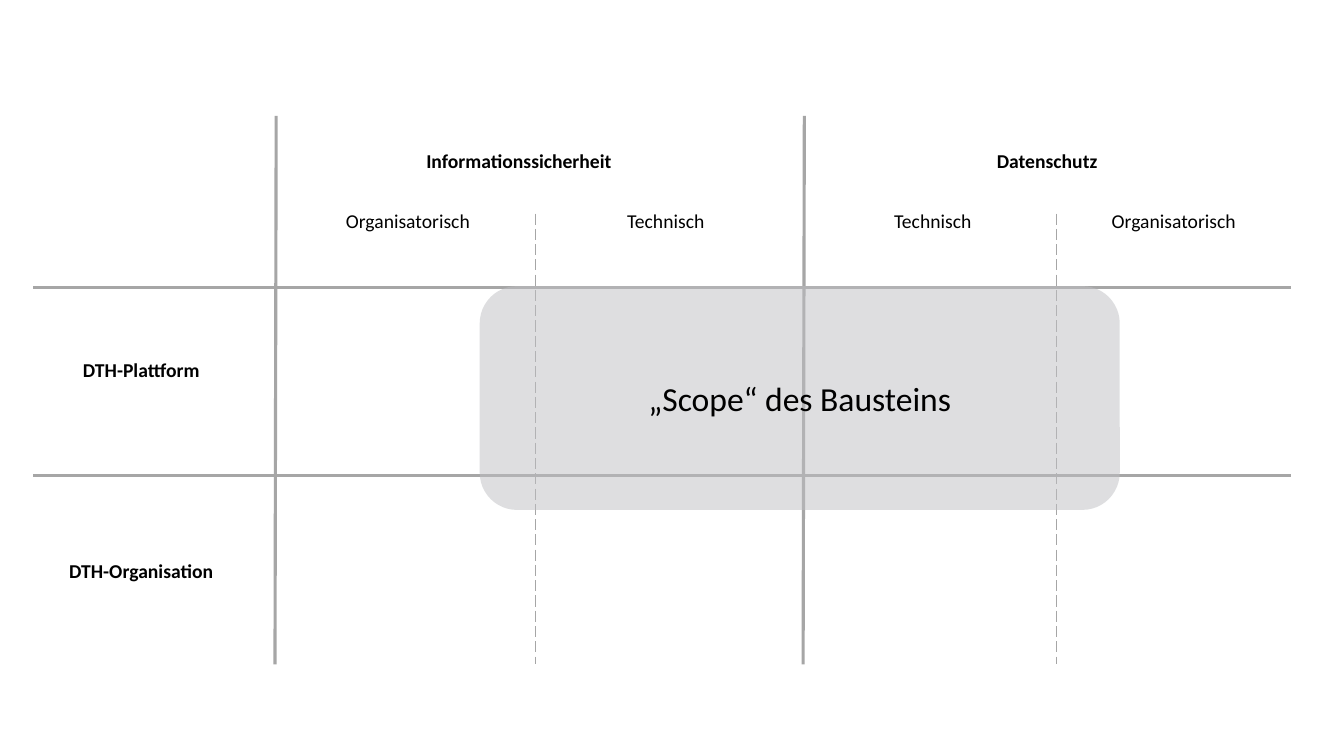
from dataclasses import dataclass

from lxml import etree
from pptx import Presentation
from pptx import util as u
from pptx.dml.color import RGBColor
from pptx.enum import dml, shapes, text
from pptx.oxml.ns import qn


@dataclass(frozen=True)
class Theme:
    font: str = "Calibri"
    ink: RGBColor = RGBColor(0, 0, 0)
    rule: RGBColor = RGBColor(0xA6, 0xA6, 0xA6)
    scope: RGBColor = RGBColor(0xBE, 0xBF, 0xC2)
    scope_alpha: int = 50
    label_size: int = 14
    scope_size: int = 24
    solid_width: float = 2.25
    dashed_width: float = 1


@dataclass(frozen=True)
class Box:
    left: float
    top: float
    width: float
    height: float

    def inside(self, left, top, width, height):
        return Box(self.left + left, self.top + top, width, height)

    def lengths(self):
        return [u.Cm(value) for value in (self.left, self.top, self.width, self.height)]


THEME = Theme()
MATRIX = Box(0.84, 2.92, 31.7, 13.82)
LABEL_HEIGHT = 0.86
MAIN_COLUMNS = (6.12, 19.43)
SUB_COLUMNS = (12.65, 25.78)
ROWS = (4.32, 9.07)
SUB_TOP = 2.46
SLANT = 0.03


def apply_format(target, values):
    for name, value in values.items():
        setattr(target, name, value)


def write(shape, wording, size, bold=False, wrap=True):
    apply_format(shape.text_frame, {
        "word_wrap": wrap,
        "vertical_anchor": text.MSO_ANCHOR.MIDDLE,
    })
    paragraph = shape.text_frame.paragraphs[0]
    paragraph.alignment = text.PP_ALIGN.CENTER
    run = paragraph.add_run()
    run.text = wording
    apply_format(run.font, {"name": THEME.font, "size": u.Pt(size), "bold": bold})
    run.font.color.rgb = THEME.ink


def add_label(slide, box, wording, center, middle, width, bold=False, wrap=False):
    place = box.inside(center - width / 2, middle - LABEL_HEIGHT / 2, width, LABEL_HEIGHT)
    shape = slide.shapes.add_textbox(*place.lengths())
    write(shape, wording, THEME.label_size, bold, wrap)
    shape.text_frame.auto_size = text.MSO_AUTO_SIZE.SHAPE_TO_FIT_TEXT


def add_rule(slide, box, start, end, dashed=False):
    ends = [u.Cm(value) for x, y in (start, end) for value in (box.left + x, box.top + y)]
    connector = slide.shapes.add_connector(shapes.MSO_CONNECTOR.STRAIGHT, *ends)
    connector.line.color.rgb = THEME.rule
    connector.line.width = u.Pt(THEME.dashed_width if dashed else THEME.solid_width)
    if dashed:
        connector.line.dash_style = dml.MSO_LINE.LONG_DASH
    etree.SubElement(connector._element.spPr, qn("a:effectLst"))


def add_column_headings(slide, box):
    for wording, center, width in (
        ("Informationssicherheit", 12.24, 6.45),
        ("Datenschutz", 25.55, 3.71),
    ):
        add_label(slide, box, wording, center, 1.14, width, bold=True)
    for wording, center, width in (
        ("Organisatorisch", 9.44, 4.14),
        ("Technisch", 15.94, 2.72),
        ("Technisch", 22.67, 2.72),
        ("Organisatorisch", 28.74, 4.14),
    ):
        add_label(slide, box, wording, center, 2.64, width)


def add_row_headings(slide, box):
    for wording, middle in (("DTH-Plattform", 6.4), ("DTH-Organisation", 11.46)):
        add_label(slide, box, wording, 2.72, middle, 5.2, bold=True, wrap=True)


def add_grid(slide, box):
    for y in ROWS:
        add_rule(slide, box, (0, y), (box.width, y))
    for x in MAIN_COLUMNS:
        add_rule(slide, box, (x, 0), (x - SLANT, box.height))
    for x in SUB_COLUMNS:
        add_rule(slide, box, (x, SUB_TOP), (x, box.height), dashed=True)


def add_scope(slide, box):
    shape = slide.shapes.add_shape(shapes.MSO_SHAPE.ROUNDED_RECTANGLE, *box.lengths())
    shape.shadow.inherit = False
    shape.fill.solid()
    shape.fill.fore_color.rgb = THEME.scope
    color = shape._element.spPr.find(qn("a:solidFill")).find(qn("a:srgbClr"))
    etree.SubElement(color, qn("a:alpha"), val=str(THEME.scope_alpha * 1000))
    shape.line.fill.background()
    write(shape, "„Scope“ des Bausteins", THEME.scope_size)


def add_matrix_slide(presentation, box):
    slide = presentation.slides.add_slide(presentation.slide_layouts[6])
    add_column_headings(slide, box)
    add_row_headings(slide, box)
    add_grid(slide, box)
    add_scope(slide, box.inside(11.25, 4.29, 16.13, 5.64))


presentation = Presentation()
apply_format(presentation, {"slide_width": u.Cm(33.87), "slide_height": u.Cm(19.05)})
add_matrix_slide(presentation, MATRIX)
presentation.save("out.pptx")
